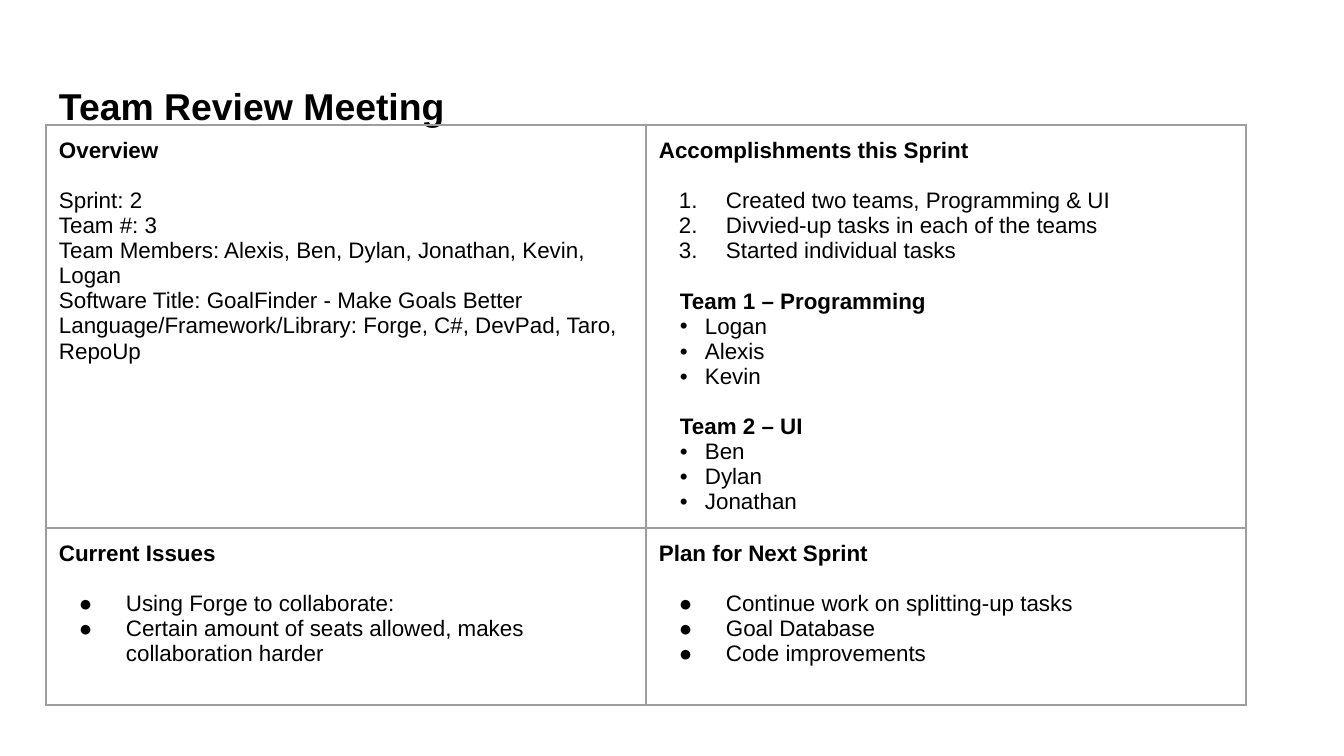
from lxml import etree
from pptx import Presentation
from pptx.dml.color import RGBColor
from pptx.enum.text import MSO_ANCHOR, MSO_AUTO_SIZE, PP_ALIGN
from pptx.oxml.ns import qn
from pptx.util import Emu, Pt

SCALE = 914400 / 134.4
INSET = 13
BLACK = "000000"
BORDER = "9E9E9E"


def px(length):
    return Emu(round(length * SCALE))


def color(value):
    return RGBColor.from_string(value)


STYLES = {
    "heading": (0, 0, None),
    "plain": (0, 0, None),
    "number": (67, -47, "1."),
    "team": (21, 0, None),
    "member": (46, -25, "•"),
    "bullet": (67, -47, "●"),
}

SECTIONS = [
    [
        [
            ("heading", ["Overview"]),
            ("plain", [
                "Sprint: 2",
                "Team #: 3",
                "Team Members: Alexis, Ben, Dylan, Jonathan, Kevin, Logan",
                "Software Title: GoalFinder - Make Goals Better",
                "Language/Framework/Library: Forge, C#, DevPad, Taro, RepoUp",
            ]),
        ],
        [
            ("heading", ["Accomplishments this Sprint"]),
            ("number", [
                "Created two teams, Programming & UI",
                "Divvied-up tasks in each of the teams",
                "Started individual tasks",
            ]),
            ("team", ["Team 1 – Programming"]),
            ("member", ["Logan", "Alexis", "Kevin"]),
            ("team", ["Team 2 – UI"]),
            ("member", ["Ben", "Dylan", "Jonathan"]),
        ],
    ],
    [
        [
            ("heading", ["Current Issues"]),
            ("bullet", [
                "Using Forge to collaborate:",
                "Certain amount of seats allowed, makes collaboration harder",
            ]),
        ],
        [
            ("heading", ["Plan for Next Sprint"]),
            ("bullet", [
                "Continue work on splitting-up tasks",
                "Goal Database",
                "Code improvements",
            ]),
        ],
    ],
]

deck = Presentation()
deck.slide_width, deck.slide_height = px(1344), px(756)
page = deck.slides.add_slide(deck.slide_layouts[5])

title = page.shapes.title
title.left, title.top, title.width, title.height = px(46), px(66), px(1253), px(85)
frame = title.text_frame
frame.text = "Team Review Meeting"
frame.auto_size = MSO_AUTO_SIZE.NONE
frame.vertical_anchor = MSO_ANCHOR.MIDDLE
frame.margin_left = frame.margin_right = px(INSET)
frame.margin_top = frame.margin_bottom = px(INSET)
para = frame.paragraphs[0]
para.alignment = PP_ALIGN.LEFT
para.line_spacing = 0.9
font = para.runs[0].font
font.name, font.size, font.bold = "Arial", Pt(20), True
font.color.rgb = color(BLACK)

table = page.shapes.add_table(2, 2, px(46), px(125), px(1200), px(580)).table
table.first_row = table.horz_banding = False
for column in table.columns:
    column.width = px(600)
for row, height in zip(table.rows, (403, 177)):
    row.height = px(height)

for row, sections in zip(table.rows, SECTIONS):
    for cell, groups in zip(row.cells, sections):
        cell.margin_left = cell.margin_right = px(INSET)
        cell.margin_top = cell.margin_bottom = px(INSET)
        properties = cell._tc.get_or_add_tcPr()
        for side in ("a:lnL", "a:lnR", "a:lnT", "a:lnB"):
            line = etree.SubElement(properties, qn(side), w=str(Pt(0.75)))
            paint = etree.SubElement(line, qn("a:solidFill"))
            etree.SubElement(paint, qn("a:srgbClr"), val=BORDER)
        cell.fill.background()

        lines = [(style, index, text) for style, texts in groups
                 for index, text in enumerate(texts)]
        cell.text_frame.text = "\n".join(text for _, _, text in lines)
        for position, (style, index, _) in enumerate(lines):
            para = cell.text_frame.paragraphs[position]
            margin, indent, marker = STYLES[style]
            if position and index == 0 and style != "member":
                para.space_before = Pt(13.5)
            settings = para._p.get_or_add_pPr()
            settings.set("marL", str(px(margin)))
            settings.set("indent", str(px(indent)))
            if marker:
                tint = etree.SubElement(settings, qn("a:buClr"))
                etree.SubElement(tint, qn("a:srgbClr"), val=BLACK)
                etree.SubElement(settings, qn("a:buFont"), typeface="Arial")
                if style == "number":
                    etree.SubElement(settings, qn("a:buAutoNum"), type="arabicPeriod")
                else:
                    etree.SubElement(settings, qn("a:buChar"), char=marker)
            font = para.runs[0].font
            font.name, font.size = "Arial", Pt(12)
            font.bold = style in ("heading", "team")
            font.color.rgb = color(BLACK)

deck.save("out.pptx")
